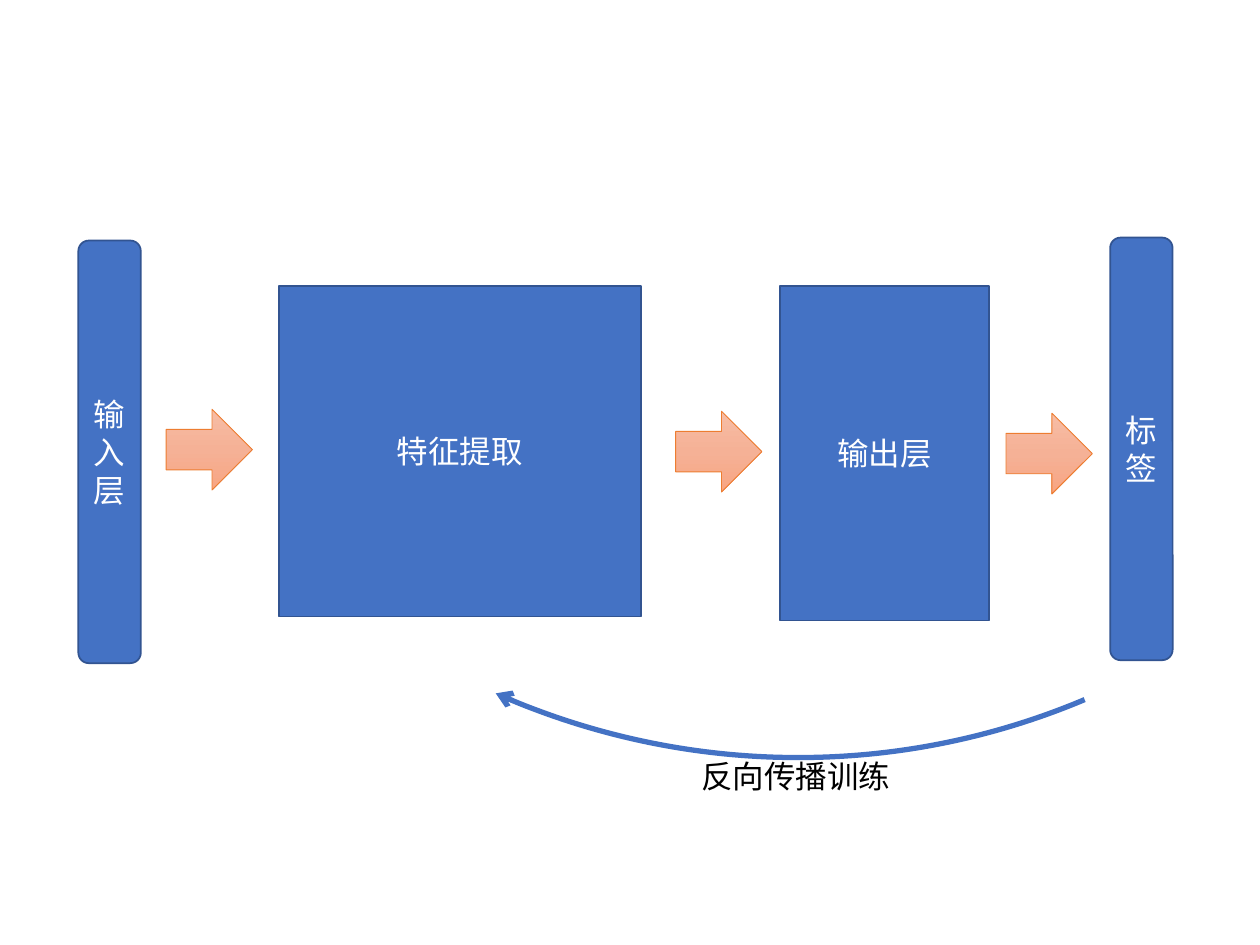
"""Build a slide showing a network's layers and its back-propagation training."""
from copy import deepcopy

from lxml import etree
from pptx import Presentation
from pptx.dml.color import RGBColor
from pptx.enum.shapes import MSO_SHAPE
from pptx.enum.text import MSO_ANCHOR, MSO_AUTO_SIZE, PP_ALIGN
from pptx.oxml.ns import qn
from pptx.util import Cm, Pt

ROUNDED, RECTANGLE = MSO_SHAPE.ROUNDED_RECTANGLE, MSO_SHAPE.RECTANGLE
RIGHT_ARROW, ARC = MSO_SHAPE.RIGHT_ARROW, MSO_SHAPE.ARC
MIDDLE, CENTER = MSO_ANCHOR.MIDDLE, PP_ALIGN.CENTER
FIT_SHAPE = MSO_AUTO_SIZE.SHAPE_TO_FIT_TEXT
BLUE = RGBColor(0x44, 0x72, 0xC4)
DARK_BLUE = RGBColor(0x32, 0x54, 0x91)
ORANGE = RGBColor(0xED, 0x7D, 0x31)
PEACHES = (RGBColor(0xF7, 0xBD, 0xA5), RGBColor(0xF5, 0xB1, 0x96), RGBColor(0xF8, 0xA5, 0x82))
WHITE = RGBColor(0xFF, 0xFF, 0xFF)
BLACK = RGBColor(0x00, 0x00, 0x00)


def add_outlined(kind, left, top, width, height, color, weight):
    shape = slide.shapes.add_shape(kind, Cm(left), Cm(top), Cm(width), Cm(height))
    shape.shadow.inherit = False
    shape.line.color.rgb = color
    shape.line.width = Pt(weight)
    return shape


def write(frame, text, color):
    frame.text = text
    font = frame.paragraphs[0].runs[0].font
    font.name = "Calibri"
    font.size = Pt(18)
    font.color.rgb = color


prs = Presentation()
prs.slide_width, prs.slide_height = Cm(25.4), Cm(19.05)
slide = prs.slides.add_slide(prs.slide_layouts[6])

layers = [
    ("输入层", ROUNDED, 1.58, 4.85, 1.26, 8.52),
    ("特征提取", RECTANGLE, 5.62, 5.77, 7.3, 6.66),
    ("输出层", RECTANGLE, 15.72, 5.77, 4.22, 6.74),
    ("标签", ROUNDED, 22.38, 4.79, 1.26, 8.52),
]
for name, kind, left, top, width, height in layers:
    layer = add_outlined(kind, left, top, width, height, DARK_BLUE, 1)
    layer.fill.solid()
    layer.fill.fore_color.rgb = BLUE
    write(layer.text_frame, name, WHITE)
    layer.text_frame.vertical_anchor = MIDDLE
    layer.text_frame.paragraphs[0].alignment = CENTER

for left, top in [(3.35, 8.25), (13.62, 8.29), (20.28, 8.33)]:
    flow = add_outlined(RIGHT_ARROW, left, top, 1.74, 1.63, ORANGE, 0.5)
    flow.fill.gradient()
    flow.fill.gradient_angle = 270
    stop_list = flow.fill._fill._gradFill.find(qn("a:gsLst"))
    stop_list.insert(1, deepcopy(stop_list[0]))
    for stop, position, peach in zip(flow.fill.gradient_stops, (0, 0.5, 1), PEACHES):
        stop.position = position
        stop.color.rgb = peach

feedback = add_outlined(ARC, 1.04, -14.76, 29.77, 30.1, BLUE, 3)
feedback.fill.background()
feedback.rotation = 139.8
feedback.adjustments[0] = 172.16
feedback.adjustments[1] = 200.18
etree.SubElement(feedback.line._get_or_add_ln(), qn("a:tailEnd"), type="arrow")

caption = slide.shapes.add_textbox(Cm(13.89), Cm(15.14), Cm(4.37), Cm(1.02))
caption.text_frame.word_wrap = False
caption.text_frame.auto_size = FIT_SHAPE
write(caption.text_frame, "反向传播训练", BLACK)

prs.save("out.pptx")
